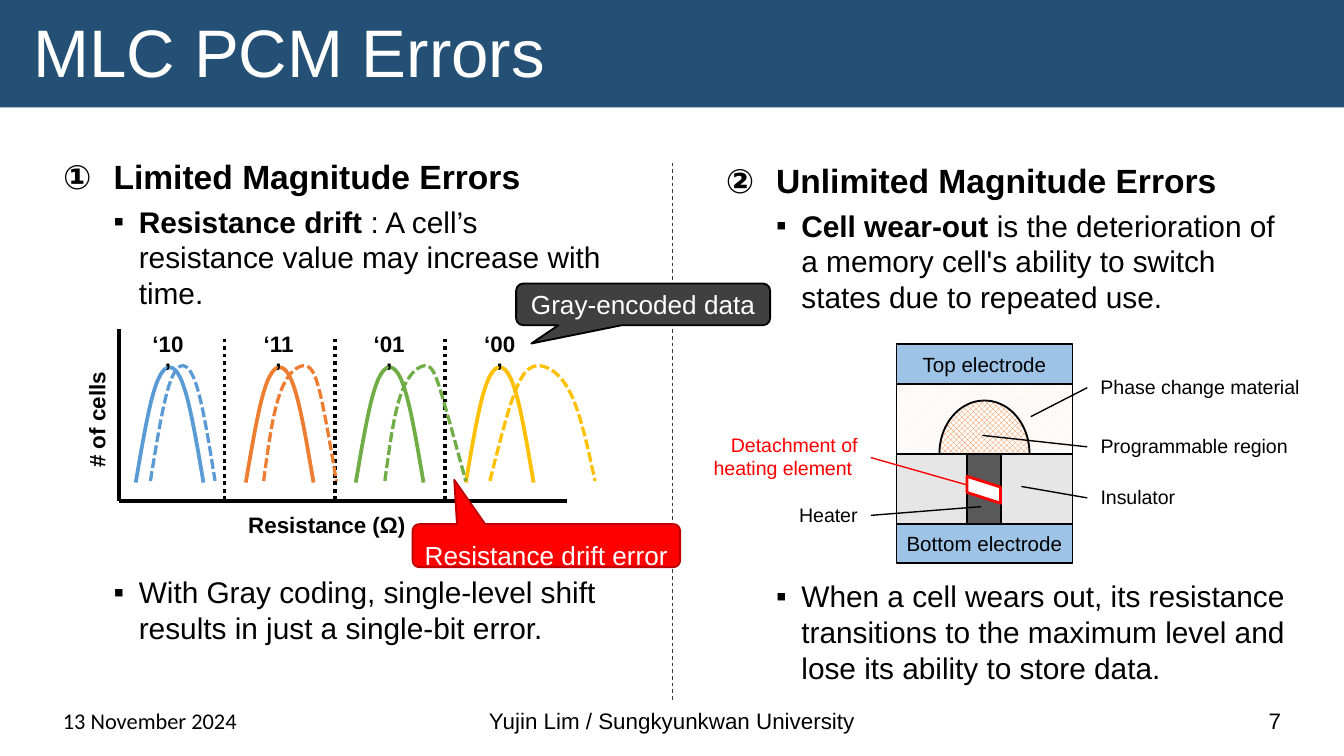
"""Build the slide on MLC PCM errors, laid out on a grid of 100 columns of a tenth of an inch."""
from dataclasses import dataclass
from itertools import chain
from math import cos, radians, sin

from lxml import etree
from pptx import Presentation
from pptx.chart.data import XyChartData
from pptx.dml.color import RGBColor
from pptx.enum.chart import XL_CHART_TYPE, XL_TICK_LABEL_POSITION, XL_TICK_MARK
from pptx.enum.dml import MSO_LINE, MSO_PATTERN
from pptx.enum.shapes import MSO_CONNECTOR, MSO_SHAPE
from pptx.enum.text import MSO_ANCHOR, MSO_AUTO_SIZE, PP_ALIGN
from pptx.oxml import parse_xml
from pptx.oxml.ns import nsdecls, qn
from pptx.util import Emu, Inches, Pt

LEFT, CENTER, RIGHT = PP_ALIGN.LEFT, PP_ALIGN.CENTER, PP_ALIGN.RIGHT
TOP, MIDDLE, BOTTOM = MSO_ANCHOR.TOP, MSO_ANCHOR.MIDDLE, MSO_ANCHOR.BOTTOM
RECT, OVAL, SLANT = MSO_SHAPE.RECTANGLE, MSO_SHAPE.OVAL, MSO_SHAPE.PARALLELOGRAM
CALLOUT = MSO_SHAPE.ROUNDED_RECTANGULAR_CALLOUT
DIAGONAL, TRELLIS = MSO_PATTERN.DARK_UPWARD_DIAGONAL, MSO_PATTERN.TRELLIS
SOLID, DASH, DOTS, SHORT_DASH = MSO_LINE.SOLID, MSO_LINE.DASH, MSO_LINE.ROUND_DOT, MSO_LINE.SQUARE_DOT
WIDTH = Inches(10)
HEIGHT = Emu(WIDTH * 9 // 16)
LEFT_SIDE, RIGHT_SIDE = 1, 3
BLACK, WHITE, RED = "000000", "FFFFFF", "FF0000"
LEVEL_COLORS = ("5B9BD5", "ED7D31", "70AD47", "FFC000")
CELL_COUNTS = (14, 79, 100, 79, 14)


@dataclass
class Box:
    """A frame in grid columns and rows."""
    left: float
    top: float
    width: float
    height: float

    def lengths(self) -> tuple:
        return tuple(map(grid, (self.left, self.top, self.width, self.height)))


@dataclass
class Part:
    """One filled part of the cell drawing or a callout."""
    box: Box
    fill: str
    kind: int = RECT
    line: str | None = BLACK
    weight: float = 1
    pattern: int | None = None
    turn: float = 0
    adjust: tuple = ()
    text: str = ""
    size: float = 11
    color: str = BLACK


@dataclass
class Label:
    """A label of the cell drawing and the point that its leader meets."""
    text: str
    box: Box
    target: tuple
    side: int = LEFT_SIDE
    color: str = BLACK


@dataclass
class Column:
    """One kind of error: heading, definition and consequence."""
    box: Box
    number: int
    inset: float
    heading: str
    term: str
    definition: str
    consequence: str


@dataclass
class Distribution:
    """A chart of cell counts over resistance, with one curve for each level."""
    box: Box
    plot: tuple
    resistances: tuple
    span: tuple
    weight: float
    dash: int
    titles: tuple = ()


COLUMNS = (
    Column(Box(3.7, 11.1, 43.1, 41), 1, 0.5, "Limited Magnitude Errors", "Resistance drift ",
           ": A cell’s resistance value may increase with time.",
           "With Gray coding, single-level shift results in just a single-bit error."),
    Column(Box(53, 11.1, 44.1, 41), 2, 0.8, "Unlimited Magnitude Errors", "Cell wear-out ",
           "is the deterioration of a memory cell's ability to switch states due to repeated use.",
           "When a cell wears out, its resistance transitions to the maximum level "
           "and lose its ability to store data."),
)
WRITTEN = Distribution(
    Box(0, 22.5, 49.1, 19.5), (0.18, 0.1, 0.68, 0.66),
    tuple(tuple(round(0.2 + 1.3 * n + 0.2 * k, 1) for k in range(5)) for n in range(4)),
    (0, 5.3), 2, SOLID, (("Resistance (Ω)", 0.37, 0.78), ("# of cells", 0.12, 0.25)))
DRIFTED = Distribution(
    Box(10.4, 17.9, 49.1, 19.5), (0.01, 0.33, 0.68, 0.66),
    ((0, 0.2, 0.4, 0.6, 0.8), (1.4, 1.6, 1.9, 2.1, 2.3),
     (2.9, 3.1, 3.4, 3.6, 3.9), (4.2, 4.5, 4.8, 5.2, 5.5)),
    (-0.05, 5.5), 1.75, SHORT_DASH)
CELL_PARTS = (
    Part(Box(66.7, 25.6, 13.1, 3), "9DC3E6", text="Top electrode"),
    Part(Box(66.7, 38.9, 13.1, 3), "9DC3E6", text="Bottom electrode"),
    Part(Box(66.7, 28.6, 13.1, 6.9), "FBE5D6", pattern=DIAGONAL),
    Part(Box(69.9, 29.8, 6.7, 7.9), "ED7D31", OVAL, pattern=TRELLIS),
    Part(Box(66.7, 33.8, 13.1, 5.2), "E7E6E6"),
    Part(Box(70.6, 35.1, 5.2, 2.5), "595959", turn=90),
    Part(Box(72.2, 35.2, 2, 2.5), WHITE, SLANT, RED, 1.5, turn=90, adjust=(0.4,)),
)
GRAY_CODE = Part(Box(38.4, 21.1, 18.9, 3.1), "404040", CALLOUT, adjust=(-0.44, 0.94, 0.17),
                 text="Gray-encoded data", size=14, color=WHITE)
CELL_LABELS = (
    Label("Programmable region", Box(80.9, 31.8, 16.9, 2.9), (73.1, 32.4)),
    Label("Heater", Box(58.2, 36.9, 6.6, 2.9), (73, 37.7), RIGHT_SIDE),
    Label("Phase change material", Box(80.9, 27.4, 17.3, 2.9), (76.7, 31)),
    Label("Insulator", Box(80.9, 35.6, 16.9, 2.9), (76, 36.2)),
    Label("Detachment of heating element ", Box(49, 31.7, 15.8, 4.7), (72, 36.1), RIGHT_SIDE, RED),
)


def grid(units: float) -> Emu:
    """Turn grid units into a length."""
    return Emu(int(WIDTH * units / 100))


def rgb(code: str) -> RGBColor:
    """Turn a hex string into a colour."""
    return RGBColor.from_string(code)


def write(paragraph, text: str, *, size: float, color: str = BLACK, bold: bool = False,
          font: str = "Arial", align: int = LEFT) -> None:
    """Add a formatted run to a paragraph."""
    paragraph.alignment = align
    run = paragraph.add_run()
    run.text = text
    run.font.size, run.font.bold, run.font.name = Pt(size), bold, font
    run.font.color.rgb = rgb(color)


def add_label(slide, box: Box, text: str, anchor: int = TOP, **text_format):
    """Add a wrapped text box."""
    label = slide.shapes.add_textbox(*box.lengths())
    frame = label.text_frame
    frame.word_wrap, frame.vertical_anchor = True, anchor
    write(frame.paragraphs[0], text, **text_format)
    return label


def add_line(slide, start: tuple, end: tuple, color: str, weight: float, dash: int = SOLID):
    """Add a straight line without shadow."""
    line = slide.shapes.add_connector(MSO_CONNECTOR.STRAIGHT, *map(grid, (*start, *end)))
    line.line.color.rgb, line.line.width, line.line.dash_style = rgb(color), Pt(weight), dash
    etree.SubElement(line._element.spPr, qn("a:effectLst"))
    return line


def paint(shape, fill: str, line: str | None, weight: float) -> None:
    """Give a shape a plain fill and outline."""
    shape.shadow.inherit = False
    shape.fill.solid()
    shape.fill.fore_color.rgb = rgb(fill)
    if line:
        shape.line.color.rgb, shape.line.width = rgb(line), Pt(weight)
    else:
        shape.line.fill.background()


def add_part(slide, part: Part):
    """Draw one part with its text."""
    shape = slide.shapes.add_shape(part.kind, *part.box.lengths())
    paint(shape, part.fill, part.line, part.weight)
    shape.rotation = part.turn
    for index, value in enumerate(part.adjust):
        shape.adjustments[index] = value
    if part.pattern is not None:
        shape.fill.patterned()
        shape.fill.pattern = part.pattern
        shape.fill.fore_color.rgb, shape.fill.back_color.rgb = rgb(part.fill), rgb(WHITE)
    if part.text:
        frame = shape.text_frame
        frame.word_wrap, frame.vertical_anchor = False, MIDDLE
        write(frame.paragraphs[0], part.text, size=part.size, color=part.color, align=CENTER)
    return shape


def add_drift_callout(slide) -> None:
    """Draw the red callout whose tip points at the drifted curve."""
    left, top, right, bottom, radius = 30.7, 39, 50.6, 42.2, 0.5
    corners = ((right - radius, top + radius, 270), (right - radius, bottom - radius, 0),
               (left + radius, bottom - radius, 90), (left + radius, top + radius, 180))
    outline = [(34, top), (33.8, 35.7), (36.1, top)]
    outline += [(x + radius * cos(radians(start + turn)), y + radius * sin(radians(start + turn)))
                for x, y, start in corners for turn in range(0, 91, 15)]
    points = [(grid(x), grid(y)) for x, y in outline]
    builder = slide.shapes.build_freeform(*points[0])
    builder.add_line_segments(points[1:])
    callout = builder.convert_to_shape()
    paint(callout, RED, "C00000", 1)
    frame = callout.text_frame
    frame.word_wrap, frame.vertical_anchor = False, MIDDLE
    frame.paragraphs[0].line_spacing = 3.0
    write(frame.paragraphs[0], "Resistance drift error", size=14, color=WHITE, align=CENTER)


def fill_column(holder, column: Column) -> None:
    """Write one error column into its body placeholder."""
    holder.left, holder.top, holder.width, holder.height = column.box.lengths()
    frame = holder.text_frame
    frame.auto_size, frame.word_wrap, frame.vertical_anchor = MSO_AUTO_SIZE.NONE, True, TOP
    frame.margin_top = grid(column.inset)
    number = f'<a:buAutoNum {nsdecls("a")} type="circleNumDbPlain" startAt="{column.number}"/>'
    square = f'<a:buChar {nsdecls("a")} char="▪"/>'
    rows = ((0, 0, 3.75, -3.75, number, ((column.heading, 18, True),)),
            (1, 3.8, 5.63, -1.88, square, ((column.term, 16, True), (column.definition, 16, False))),
            (1, 141, 5.63, -1.88, square, ((column.consequence, 16, False),)))
    for index, (level, before, margin, indent, bullet, runs) in enumerate(rows):
        paragraph = frame.add_paragraph() if index else frame.paragraphs[0]
        properties = paragraph._p.get_or_add_pPr()
        properties.set("marL", str(grid(margin)))
        properties.set("indent", str(grid(indent)))
        properties.append(parse_xml(bullet))
        paragraph.level, paragraph.space_before, paragraph.line_spacing = level, Pt(before), 1.0
        for text, size, bold in runs:
            write(paragraph, text, size=size, bold=bold)


def set_layout(parent, index: int, inner: bool, **shares: float) -> None:
    """Fix the place of a chart element by shares of the chart."""
    for old in parent.findall(qn("c:layout")):
        parent.remove(old)
    settings = {"layoutTarget": "inner"} if inner else {}
    settings |= {"xMode": "edge", "yMode": "edge"} | shares
    body = "".join(f'<c:{key} val="{value}"/>' for key, value in settings.items())
    parent.insert(index, parse_xml(
        f'<c:layout {nsdecls("c")}><c:manualLayout>{body}</c:manualLayout></c:layout>'))


def add_distribution(slide, data: Distribution) -> None:
    """Draw one chart of smooth level curves on a clear ground."""
    levels = XyChartData()
    for number in range(4):
        level = levels.add_series(f"Series {number + 1}")
        for place, resistance in enumerate(chain(*data.resistances)):
            owner, step = divmod(place, 5)
            level.add_data_point(resistance, CELL_COUNTS[step] if owner == number else None)
    chart = slide.shapes.add_chart(
        XL_CHART_TYPE.XY_SCATTER_SMOOTH_NO_MARKERS, *data.box.lengths(), levels).chart
    chart.has_legend = chart.has_title = False
    chart.font.size, chart.font.name, chart.font.color.rgb = Pt(10), "Calibri", rgb(BLACK)
    chart.plots[0].vary_by_categories = False
    for curve, color in zip(chart.plots[0].series, LEVEL_COLORS):
        curve._element.find(qn("c:smooth")).set("val", "1")
        for point in list(curve._element.iter(qn("c:pt"))):
            if point.findtext(qn("c:v")) in ("None", "", None):
                point.getparent().remove(point)
        line = curve.format.line
        line.color.rgb, line.width, line.dash_style = rgb(color), Pt(data.weight), data.dash
    axes = (chart.category_axis, chart.value_axis)
    for axis, (low, high) in zip(axes, (data.span, (0, 129))):
        axis.minimum_scale, axis.maximum_scale = low, high
        axis.has_major_gridlines = axis.has_minor_gridlines = False
        axis.major_tick_mark = axis.minor_tick_mark = XL_TICK_MARK.NONE
        axis.tick_label_position = XL_TICK_LABEL_POSITION.NONE
        if data.titles:
            axis.format.line.color.rgb, axis.format.line.width = rgb(BLACK), Pt(2)
        else:
            axis.format.line.fill.background()
    for axis, (text, x, y), angle in zip(axes, data.titles, ("0", "-5400000")):
        frame = axis.axis_title.text_frame
        write(frame.paragraphs[0], text, size=12, bold=True, align=CENTER)
        frame._txBody.bodyPr.set("rot", angle)
        set_layout(axis.axis_title._element, 1, False, x=x, y=y)
    space = chart._chartSpace
    area = space.find(".//" + qn("c:plotArea"))
    set_layout(area, 0, True, **dict(zip("xywh", data.plot)))
    clear = f'<c:spPr {nsdecls("c", "a")}><a:noFill/><a:ln><a:noFill/></a:ln></c:spPr>'
    area.append(parse_xml(clear))
    space.find(qn("c:txPr")).addprevious(parse_xml(clear))


def main() -> None:
    """Build and save the slide."""
    deck = Presentation()
    deck.slide_width, deck.slide_height = WIDTH, HEIGHT
    slide = deck.slides.add_slide(deck.slide_layouts[3])
    title, *bodies = slide.placeholders
    banner = add_part(slide, Part(Box(0, 0, 100, 8), "255076", line=None))
    title._element.addprevious(banner._element)
    title.left, title.top, title.width, title.height = Box(1.5, 1, 97, 6.3).lengths()
    frame = title.text_frame
    frame.auto_size, frame.word_wrap, frame.vertical_anchor = MSO_AUTO_SIZE.NONE, False, MIDDLE
    frame.paragraphs[0].line_spacing = 0.9
    write(frame.paragraphs[0], "MLC PCM Errors", size=36, color=WHITE)
    for holder, column in zip(bodies, COLUMNS):
        fill_column(holder, column)
    add_line(slide, (50, 12.1), (50, 52.1), "3B3838", 0.5, DASH)
    add_label(slide, Box(3.7, 52.1, 25.7, 3), "13 November 2024", BOTTOM, size=12, font="Calibri")
    add_label(slide, Box(33.1, 52.1, 33.8, 3), "Yujin Lim / Sungkyunkwan University", BOTTOM,
              size=12, align=CENTER)
    add_label(slide, Box(70.6, 52.1, 25.7, 3), "7", BOTTOM, size=12, align=RIGHT)
    add_distribution(slide, WRITTEN)
    for index, code in enumerate(("‘10’", "‘11’", "‘01’", "‘00’")):
        add_label(slide, Box(10.2 + 8.23 * index, 24.1, 4.6, 3), code, size=12, bold=True, align=CENTER)
    for index in range(3):
        boundary = 16.7 + 8.2 * index
        add_line(slide, (boundary, 25.2), (boundary, 37.4), BLACK, 2, DOTS)
    add_distribution(slide, DRIFTED)
    add_part(slide, GRAY_CODE)
    add_drift_callout(slide)
    for part in CELL_PARTS:
        add_part(slide, part)
    for label in CELL_LABELS:
        note = add_label(slide, label.box, label.text, size=10.5, color=label.color,
                         align=RIGHT if label.side == RIGHT_SIDE else LEFT)
        leader = add_line(slide, label.target, label.target, label.color, 0.75)
        leader.end_connect(note, label.side)
    deck.save("out.pptx")


if __name__ == "__main__":
    main()
